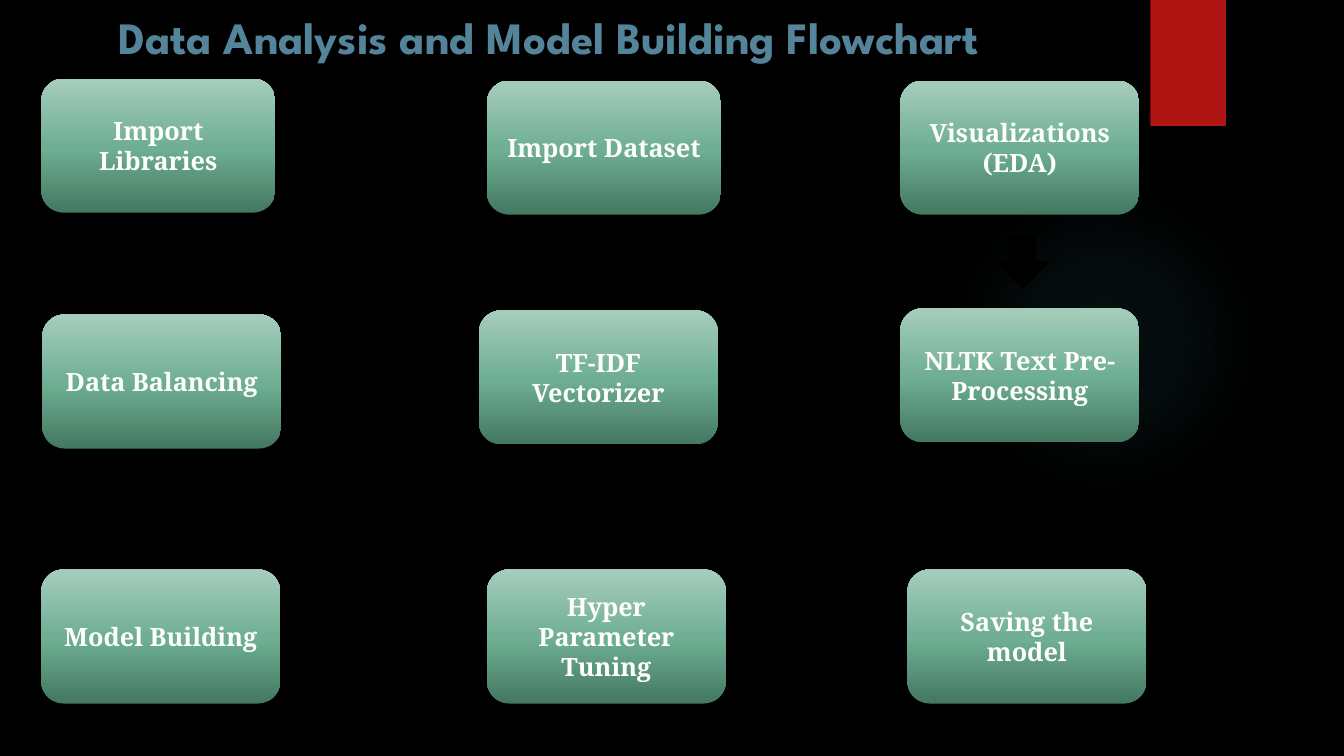
from lxml import etree
from pptx import Presentation
from pptx import util as u
from pptx.dml.color import RGBColor
from pptx.enum import shapes, text
from pptx.oxml.ns import qn

WIDTH, HEIGHT = 13.33, 7.5
COLUMNS = (0.41, 4.83, 8.93)
ROWS = (0.8, 3.08, 5.65)
GAPS = (3.52, 7.66)
STEP_HEIGHT, ARROW_HEIGHT = 1.33, 0.5
STEP_STOPS = ((0, "437861", 100), (48, "6EAE93", 100), (100, "A6CDBC", 100))
GLOW_STOPS = ((0, "50B9C1", 7), (36, "50B9C1", 6), (69, "50B9C1", 0))
KIND = shapes.MSO_SHAPE

# wording, column, row, width, nudge from the grid
STEPS = (
    ("Import Libraries", 0, 0, 2.32, (0, -0.02)),
    ("Import Dataset", 1, 0, 2.32, (0, 0)),
    ("Visualizations\n(EDA)", 2, 0, 2.37, (0, 0)),
    ("NLTK Text Pre-Processing", 2, 1, 2.37, (0, -0.02)),
    ("TF-IDF Vectorizer", 1, 1, 2.37, (-0.08, 0)),
    ("Data Balancing", 0, 1, 2.37, (0.01, 0.04)),
    ("Model Building", 0, 2, 2.37, (0, 0)),
    ("Hyper Parameter Tuning", 1, 2, 2.37, (0, 0)),
    ("Saving the model", 2, 2, 2.37, (0.07, 0)),
)
# direction, gap between columns, row, width, nudge from the row's middle
ROW_ARROWS = (
    (KIND.RIGHT_ARROW, 0, 0, 0.69, (0, -0.02)),
    (KIND.RIGHT_ARROW, 1, 0, 0.73, (0, -0.04)),
    (KIND.LEFT_ARROW, 1, 1, 0.73, (0, 0.03)),
    (KIND.LEFT_ARROW, 0, 1, 0.69, (0, 0.03)),
    (KIND.RIGHT_ARROW, 0, 2, 0.73, (-0.04, -0.02)),
    (KIND.RIGHT_ARROW, 1, 2, 0.73, (0.16, 0)),
)
DOWN_ARROWS = ((9.89, 2.35), (1.36, 4.87))


def colour(value):
    """Turn a hex string into a colour."""
    return RGBColor.from_string(value)


def add_shape(slide, kind, left, top, width, height, fill=None):
    """Add a preset shape without shadow or outline."""
    shape = slide.shapes.add_shape(kind, *map(u.Inches, (left, top, width, height)))
    shape.shadow.inherit = False
    shape.line.fill.background()
    if fill:
        shape.fill.solid()
        shape.fill.fore_color.rgb = colour(fill)
    return shape


def set_gradient(shape, stops, angle=None):
    """Fill with (position, colour, opacity) stops; circular without an angle."""
    shape.fill.gradient()
    gradient = shape.element.spPr.find(qn("a:gradFill"))
    for child in list(gradient):
        gradient.remove(child)
    stop_list = etree.SubElement(gradient, qn("a:gsLst"))
    for position, value, opacity in stops:
        stop = etree.SubElement(stop_list, qn("a:gs"), pos=str(position * 1000))
        tint = etree.SubElement(stop, qn("a:srgbClr"), val=value)
        if opacity < 100:
            etree.SubElement(tint, qn("a:alpha"), val=str(opacity * 1000))
    if angle is None:
        circle = etree.SubElement(gradient, qn("a:path"), path="circle")
        sides = dict.fromkeys("ltrb", "50000")
        etree.SubElement(circle, qn("a:fillToRect"), **sides)
    else:
        etree.SubElement(gradient, qn("a:lin"), ang=str(angle * 60000), scaled="0")


def format_paragraph(paragraph, font_name, size, value):
    """Centre a paragraph and set its bold font."""
    paragraph.alignment = text.PP_ALIGN.CENTER
    font = paragraph.font
    font.name, font.size, font.bold = font_name, u.Pt(size), True
    font.color.rgb = colour(value)


def add_title(slide, wording):
    """Place and format the slide's title."""
    title = slide.shapes.title
    title.left, title.top = u.Inches(0), u.Inches(0.05)
    title.width, title.height = u.Inches(10.9), u.Inches(0.94)
    frame = title.text_frame
    frame.text = wording
    frame.auto_size = text.MSO_AUTO_SIZE.NONE
    frame.vertical_anchor = text.MSO_ANCHOR.TOP
    format_paragraph(frame.paragraphs[0], "League Spartan", 32, "54849A")


def add_step(slide, wording, column, row, width, nudge):
    """Add one flowchart step on the grid."""
    step = add_shape(slide, KIND.FLOWCHART_ALTERNATE_PROCESS, COLUMNS[column] + nudge[0],
                     ROWS[row] + nudge[1], width, STEP_HEIGHT)
    set_gradient(step, STEP_STOPS, 270)
    frame = step.text_frame
    frame.text = wording
    frame.word_wrap = True
    frame.vertical_anchor = text.MSO_ANCHOR.MIDDLE
    for paragraph in frame.paragraphs:
        format_paragraph(paragraph, "Noto Serif", 18, "FFFFFF")


def add_arrow(slide, kind, left, top, width):
    """Add a black block arrow."""
    arrow = add_shape(slide, kind, left, top, width, ARROW_HEIGHT, "000000")
    arrow.line.color.rgb = colour("000000")
    arrow.line.width = u.Pt(1.5)


def main():
    """Build the flowchart slide and save it."""
    presentation = Presentation()
    presentation.slide_width = u.Inches(WIDTH)
    presentation.slide_height = u.Inches(HEIGHT)
    slide = presentation.slides.add_slide(presentation.slide_layouts.get_by_name("Title Only"))
    slide.background.fill.solid()
    slide.background.fill.fore_color.rgb = colour("000000")

    glow = add_shape(slide, KIND.OVAL, 9.41, 1.83, 3.08, 3.08)
    set_gradient(glow, GLOW_STOPS)
    add_shape(slide, KIND.RECTANGLE, 11.41, 0, 0.75, 1.25, "B01513")
    add_title(slide, "Data Analysis and Model Building Flowchart")

    for step in STEPS:
        add_step(slide, *step)
    middle = (STEP_HEIGHT - ARROW_HEIGHT) / 2
    for kind, gap, row, width, nudge in ROW_ARROWS:
        add_arrow(slide, kind, GAPS[gap] + nudge[0], ROWS[row] + middle + nudge[1], width)
    for left, top in DOWN_ARROWS:
        add_arrow(slide, KIND.DOWN_ARROW, left, top, 0.5)
    presentation.save("out.pptx")


main()
